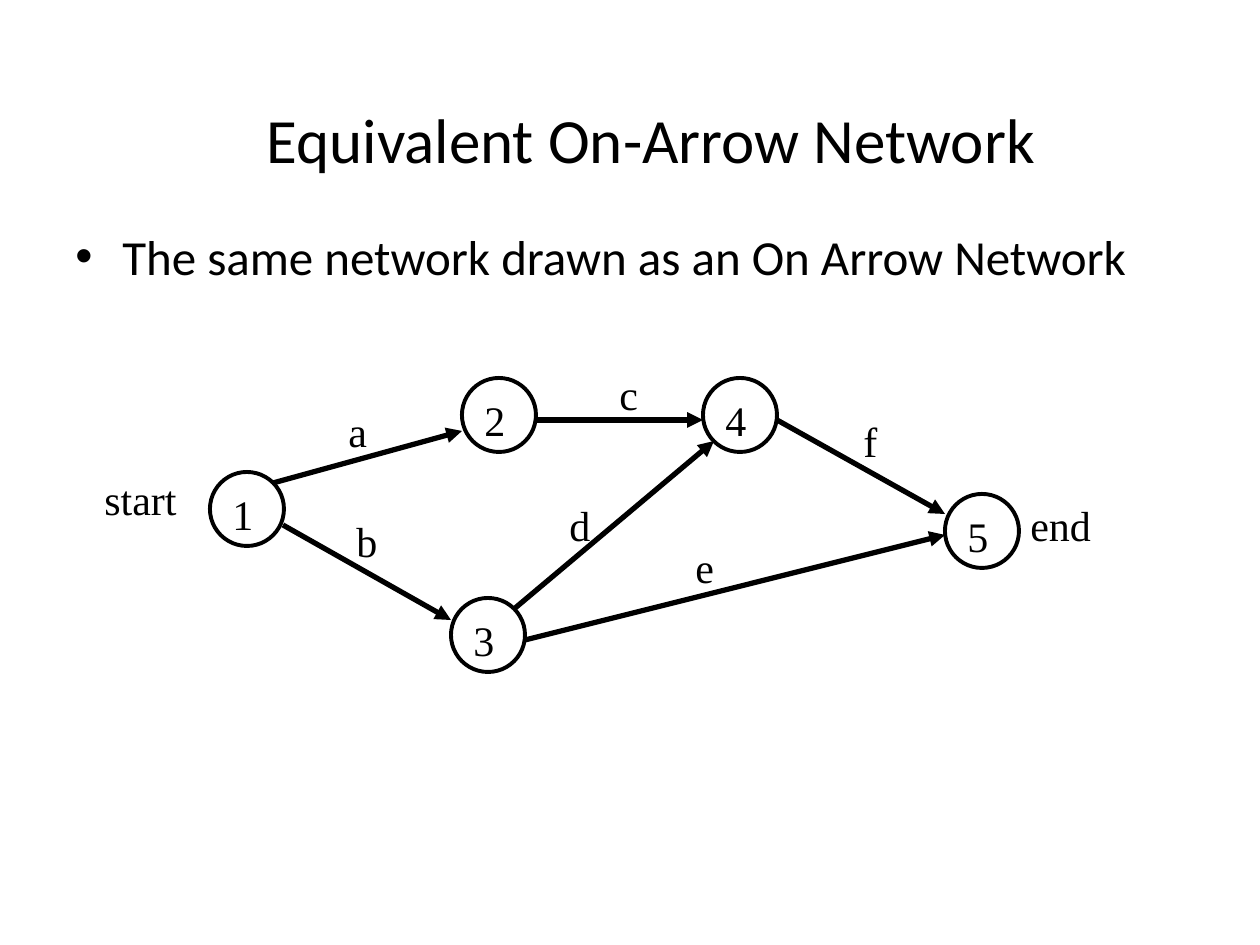
import lxml.etree
import pptx
import pptx.dml.color
import pptx.enum.shapes
import pptx.enum.text
import pptx.oxml.ns
import pptx.util

PX = 914400 / 126
COLORS = {"ink": "000000"}
NODE_SIZE = 74
LABEL_HEIGHT = 63
NODES = {"1": (210, 472), "2": (462, 378), "3": (451, 598), "4": (703, 378), "5": (945, 494)}
ACTIVITIES = [
    (273, 483, 462, 431),
    (283, 525, 451, 620),
    (514, 609, 714, 441),
    (535, 420, 703, 420),
    (777, 420, 945, 514),
    (525, 640, 945, 535),
]
LABELS = [
    ("start", 92, 467, 102),
    ("a", 336, 399, 44),
    ("b", 344, 509, 46),
    ("c", 607, 362, 44),
    ("d", 557, 493, 46),
    ("e", 683, 535, 44),
    ("f", 851, 409, 39),
    ("end", 1018, 493, 90),
]


def emu(px):
    return pptx.util.Emu(round(px * PX))


class NetworkSlide:
    """Draws the elements of an on-arrow network in one style."""

    def __init__(self, slide):
        self.slide = slide
        self.ink = pptx.dml.color.RGBColor.from_string(COLORS["ink"])

    def text(self, words, left, top, width, height, font, size, wrap=True):
        box = self.slide.shapes.add_textbox(*map(emu, (left, top, width, height)))
        frame = box.text_frame
        frame.word_wrap = wrap
        paragraph = frame.paragraphs[0]
        paragraph.text = words
        paragraph.font.name = font
        paragraph.font.size = pptx.util.Pt(size)
        paragraph.font.color.rgb = self.ink
        return frame

    def title(self, words):
        heading = self.text(words, 84, 59, 1134, 158, "Calibri", 36)
        heading.vertical_anchor = pptx.enum.text.MSO_ANCHOR.MIDDLE
        heading.paragraphs[0].alignment = pptx.enum.text.PP_ALIGN.CENTER

    def bullet(self, words):
        body = self.text(words, 63, 220, 1134, 624, "Calibri", 28)
        properties = body.paragraphs[0]._p.get_or_add_pPr()
        properties.set("marL", str(emu(47)))
        properties.set("indent", str(emu(-47)))
        for tag, key, value in (("a:buFont", "typeface", "Arial"), ("a:buChar", "char", "•")):
            mark = lxml.etree.SubElement(properties, pptx.oxml.ns.qn(tag))
            mark.set(key, value)

    def label(self, words, left, top, width):
        frame = self.text(words, left, top, width, LABEL_HEIGHT, "Times New Roman", 24, wrap=False)
        frame.auto_size = pptx.enum.text.MSO_AUTO_SIZE.SHAPE_TO_FIT_TEXT

    def node(self, number, left, top):
        circle = self.slide.shapes.add_shape(
            pptx.enum.shapes.MSO_SHAPE.OVAL, *map(emu, (left, top, NODE_SIZE, NODE_SIZE))
        )
        circle.shadow.inherit = False
        circle.fill.background()
        circle.line.color.rgb = self.ink
        circle.line.width = pptx.util.Pt(2.25)
        self.label(number, left + 10, top + 10, 46)

    def arrow(self, *ends):
        activity = self.slide.shapes.add_connector(
            pptx.enum.shapes.MSO_CONNECTOR.STRAIGHT, *map(emu, ends)
        )
        activity.line.color.rgb = self.ink
        activity.line.width = pptx.util.Pt(3)
        head = lxml.etree.SubElement(activity.line._get_or_add_ln(), pptx.oxml.ns.qn("a:tailEnd"))
        head.set("type", "triangle")
        lxml.etree.SubElement(activity._element.spPr, pptx.oxml.ns.qn("a:effectLst"))


def main():
    deck = pptx.Presentation()
    deck.slide_width, deck.slide_height = emu(1260), emu(945)
    network = NetworkSlide(deck.slides.add_slide(deck.slide_layouts[6]))
    network.title("Equivalent On-Arrow Network")
    network.bullet("The same network drawn as an On Arrow Network")
    for number, (left, top) in NODES.items():
        network.node(number, left, top)
    for ends in ACTIVITIES:
        network.arrow(*ends)
    for label in LABELS:
        network.label(*label)
    deck.save("out.pptx")


if __name__ == "__main__":
    main()
